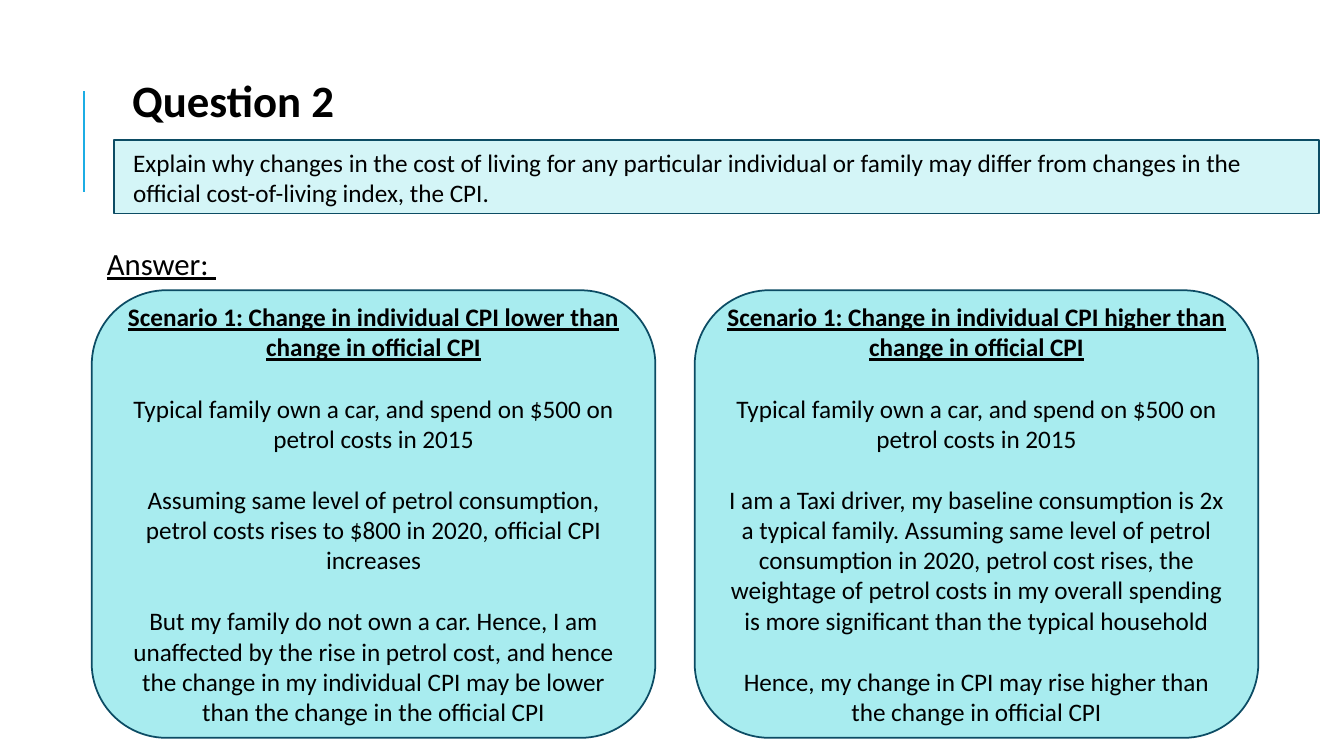
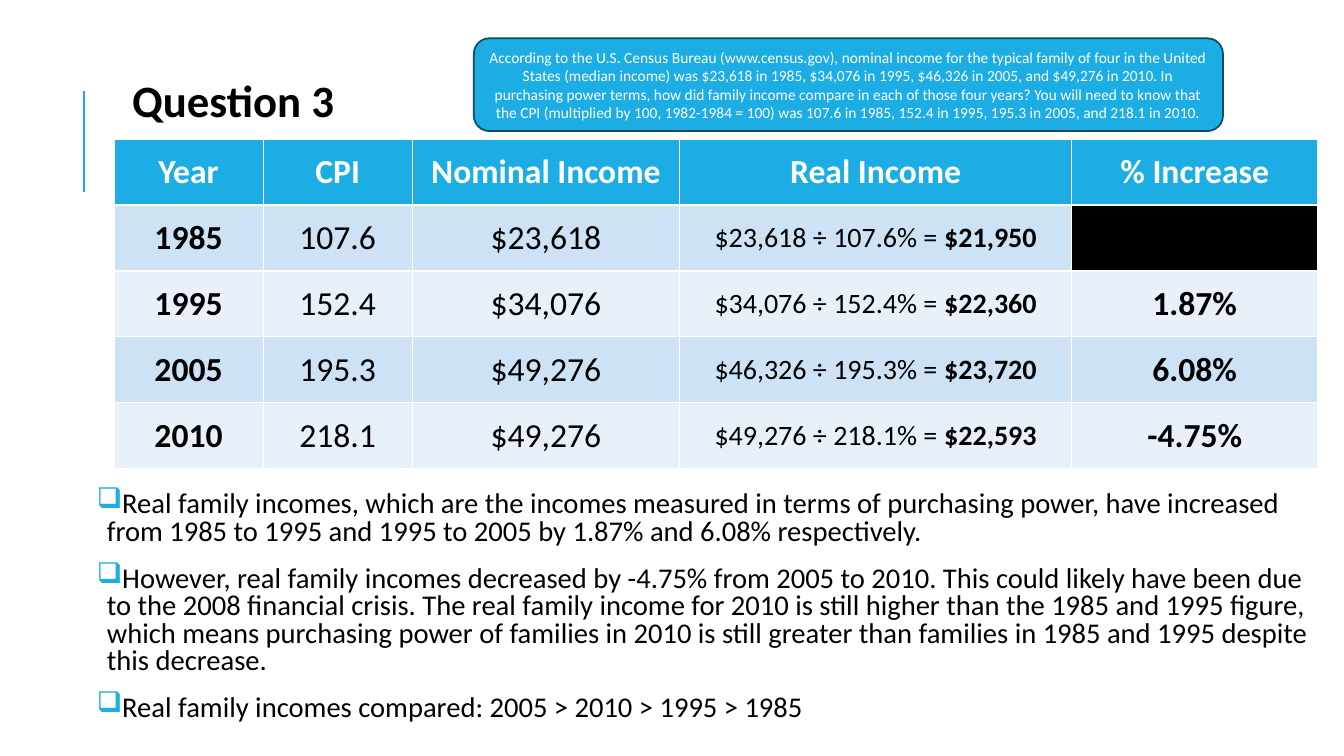
import pptx
import pptx.util
import pptx.dml.color
import pptx.enum.shapes
import pptx.enum.text
import pptx.oxml.ns
from lxml import etree

Inches = pptx.util.Inches
Pt = pptx.util.Pt
SHAPE = pptx.enum.shapes.MSO_SHAPE
ALIGN = pptx.enum.text.PP_ALIGN
ANCHOR = pptx.enum.text.MSO_ANCHOR
qn = pptx.oxml.ns.qn

COLOURS = {
    "accent": "1CADE4",
    "outline": "0C4C64",
    "question": "D4F5F7",
    "scenario": "A8ECEF",
    "band_dark": "CDE3F5",
    "band_light": "E8F1FA",
    "black": "000000",
    "white": "FFFFFF",
}
FONT = "Calibri"


def rgb(name):
    return pptx.dml.color.RGBColor.from_string(COLOURS[name])


class Deck:
    def __init__(self):
        self.presentation = pptx.Presentation()
        self.presentation.slide_width = Inches(13.33)
        self.presentation.slide_height = Inches(7.5)
        self.slide = None

    def format_text(self, paragraph, size, colour="black", bold=False, underline=False):
        for run in paragraph.runs:
            run.font.name = FONT
            run.font.size = Pt(size)
            run.font.bold = bold
            run.font.underline = underline
            run.font.color.rgb = rgb(colour)

    def set_margins(self, text_frame, left, top, right, bottom):
        text_frame.margin_left = Inches(left)
        text_frame.margin_top = Inches(top)
        text_frame.margin_right = Inches(right)
        text_frame.margin_bottom = Inches(bottom)

    def new_slide(self, title):
        self.slide = self.presentation.slides.add_slide(self.presentation.slide_layouts[5])
        self.accent_line()
        shape = self.slide.shapes.title
        shape.left, shape.top = Inches(1.21), Inches(0.67)
        shape.width, shape.height = Inches(2.63), Inches(0.64)
        text_frame = shape.text_frame
        text_frame.text = title
        text_frame.auto_size = pptx.enum.text.MSO_AUTO_SIZE.NONE
        text_frame.vertical_anchor = ANCHOR.TOP
        paragraph = text_frame.paragraphs[0]
        paragraph.alignment = ALIGN.LEFT
        self.format_text(paragraph, 32, bold=True)

    def accent_line(self):
        connector = self.slide.shapes.add_connector(
            pptx.enum.shapes.MSO_CONNECTOR.STRAIGHT,
            Inches(0.83), Inches(1.9), Inches(0.83), Inches(0.9))
        connector.line.color.rgb = rgb("accent")
        connector.line.width = Pt(1.5)
        etree.SubElement(connector._element.spPr, qn("a:effectLst"))

    def panel(self, kind, left, top, width, height, fill, texts, size, colour="black", gap=0):
        shape = self.slide.shapes.add_shape(
            kind, Inches(left), Inches(top), Inches(width), Inches(height))
        shape.shadow.inherit = False
        shape.fill.solid()
        shape.fill.fore_color.rgb = rgb(fill)
        shape.line.color.rgb = rgb("outline")
        shape.line.width = Pt(1.25)
        text_frame = shape.text_frame
        text_frame.word_wrap = True
        text_frame.vertical_anchor = ANCHOR.MIDDLE
        text_frame.text = "\n".join(texts)
        for index, paragraph in enumerate(text_frame.paragraphs):
            paragraph.alignment = ALIGN.CENTER
            if index:
                paragraph.space_before = Pt(gap)
            self.format_text(paragraph, size, colour)
        return shape

    def question(self, text):
        shape = self.panel(SHAPE.RECTANGLE, 1.13, 1.39, 11.95, 0.73, "question", [text], 18)
        text_frame = shape.text_frame
        text_frame.vertical_anchor = ANCHOR.TOP
        self.set_margins(text_frame, 0.19, 0.07, 0.26, 0.05)
        text_frame.paragraphs[0].alignment = ALIGN.LEFT

    def scenario(self, left, heading, texts):
        shape = self.panel(SHAPE.ROUNDED_RECTANGLE, left, 2.88, 5.59, 4.44,
                           "scenario", [heading, *texts], 18, gap=22)
        self.format_text(shape.text_frame.paragraphs[0], 18, bold=True, underline=True)

    def text_box(self, top, height, texts, size, spacing, bullet=None, underline=False):
        box = self.slide.shapes.add_textbox(
            Inches(0.91), Inches(top), Inches(12.12), Inches(height))
        text_frame = box.text_frame
        text_frame.word_wrap = True
        self.set_margins(text_frame, 0.05 if bullet else 0.15, 0.05, 0.05, 0.05)
        text_frame.text = "\n".join(texts)
        for index, paragraph in enumerate(text_frame.paragraphs):
            if bullet:
                self.add_bullet(paragraph, bullet)
            paragraph.line_spacing = spacing
            paragraph.space_after = Pt(2)
            if index:
                paragraph.space_before = Pt(12)
            self.format_text(paragraph, size, underline=underline)

    def add_bullet(self, paragraph, character):
        properties = paragraph._p.get_or_add_pPr()
        properties.set("marL", str(Inches(0.1)))
        properties.set("indent", str(-Inches(0.1)))
        colour = etree.SubElement(properties, qn("a:buClr"))
        etree.SubElement(colour, qn("a:srgbClr"), val=COLOURS["accent"])
        etree.SubElement(properties, qn("a:buChar"), char=character)

    def fill_cell(self, cell, fill, parts, size, colour, bold):
        cell.fill.solid()
        cell.fill.fore_color.rgb = rgb(fill)
        cell.vertical_anchor = ANCHOR.MIDDLE
        paragraph = cell.text_frame.paragraphs[0]
        paragraph.alignment = ALIGN.CENTER
        for part in parts:
            paragraph.add_run().text = part
        self.format_text(paragraph, size, colour, bold)
        if len(parts) > 1:
            paragraph.runs[-1].font.bold = True

    def income_table(self, headings, rows, widths):
        table = self.slide.shapes.add_table(
            len(rows) + 1, len(headings), Inches(1.13), Inches(1.38),
            Inches(sum(widths)), Inches(3.27)).table
        for column, width in zip(table.columns, widths):
            column.width = Inches(width)
        for index, heading in enumerate(headings):
            self.fill_cell(table.cell(0, index), "accent", [heading], 24, "white", True)
        for row_index, row in enumerate(rows, 1):
            band = "band_dark" if row_index % 2 else "band_light"
            for index, value in enumerate(row):
                parts = value if isinstance(value, tuple) else (value,) if value else ()
                self.fill_cell(table.cell(row_index, index), band if parts else "black", parts,
                               20 if len(parts) > 1 else 24, "black",
                               index in (0, len(row) - 1))


def cost_of_living(deck):
    deck.new_slide("Question 2")
    deck.question(
        "Explain why changes in the cost of living for any particular individual or family "
        "may differ from changes in the official cost-of-living index, the CPI.")
    deck.text_box(2.42, 0.45, ["Answer: "], 22, 0.9, underline=True)
    typical_family = "Typical family own a car, and spend on $500 on petrol costs in 2015"
    scenarios = [
        ("lower", [
            "Assuming same level of petrol consumption, petrol costs rises to $800 in 2020, "
            "official CPI increases",
            "But my family do not own a car. Hence, I am unaffected by the rise in petrol cost, "
            "and hence the change in my individual CPI may be lower than the change in the "
            "official CPI"]),
        ("higher", [
            "I am a Taxi driver, my baseline consumption is 2x a typical family. Assuming same "
            "level of petrol consumption in 2020, petrol cost rises, the weightage of petrol "
            "costs in my overall spending is more significant than the typical household",
            "Hence, my change in CPI may rise higher than the change in official CPI"]),
    ]
    for index, (direction, texts) in enumerate(scenarios):
        heading = f"Scenario 1: Change in individual CPI {direction} than change in official CPI"
        deck.scenario(0.91 + index * 5.98, heading, [typical_family, *texts])


def family_income(deck):
    deck.new_slide("Question 3")
    deck.income_table(
        ["Year", "CPI", "Nominal Income", "Real Income", "% Increase"],
        [
            ["1985", "107.6", "$23,618", ("$23,618 ÷ 107.6% = ", "$21,950"), None],
            ["1995", "152.4", "$34,076", ("$34,076 ÷ 152.4% = ", "$22,360"), "1.87%"],
            ["2005", "195.3", "$49,276", ("$46,326 ÷ 195.3% = ", "$23,720"), "6.08%"],
            ["2010", "218.1", "$49,276", ("$49,276 ÷ 218.1% = ", "$22,593"), "-4.75%"],
        ],
        [1.48, 1.48, 2.65, 3.89, 2.44])
    deck.text_box(4.83, 2.45, [
        "Real family incomes, which are the incomes measured in terms of purchasing power, have "
        "increased from 1985 to 1995 and 1995 to 2005 by 1.87% and 6.08% respectively.",
        "However, real family incomes decreased by -4.75% from 2005 to 2010. This could likely "
        "have been due to the 2008 financial crisis. The real family income for 2010 is still "
        "higher than the 1985 and 1995 figure, which means purchasing power of families in 2010 "
        "is still greater than families in 1985 and 1995 despite this decrease.",
        "Real family incomes compared: 2005 > 2010 > 1995 > 1985",
    ], 20.4, 0.8, bullet="❑")
    deck.panel(SHAPE.ROUNDED_RECTANGLE, 4.7, 0.38, 7.43, 0.92, "accent", [
        "According to the U.S. Census Bureau (www.census.gov), nominal income for the typical "
        "family of four in the United States (median income) was $23,618 in 1985, $34,076 in "
        "1995, $46,326 in 2005, and $49,276 in 2010. In purchasing power terms, how did family "
        "income compare in each of those four years? You will need to know that the CPI "
        "(multiplied by 100, 1982-1984 = 100) was 107.6 in 1985, 152.4 in 1995, 195.3 in 2005, "
        "and 218.1 in 2010."], 11, "white")


def main():
    deck = Deck()
    cost_of_living(deck)
    family_income(deck)
    deck.presentation.save("out.pptx")


if __name__ == "__main__":
    main()
